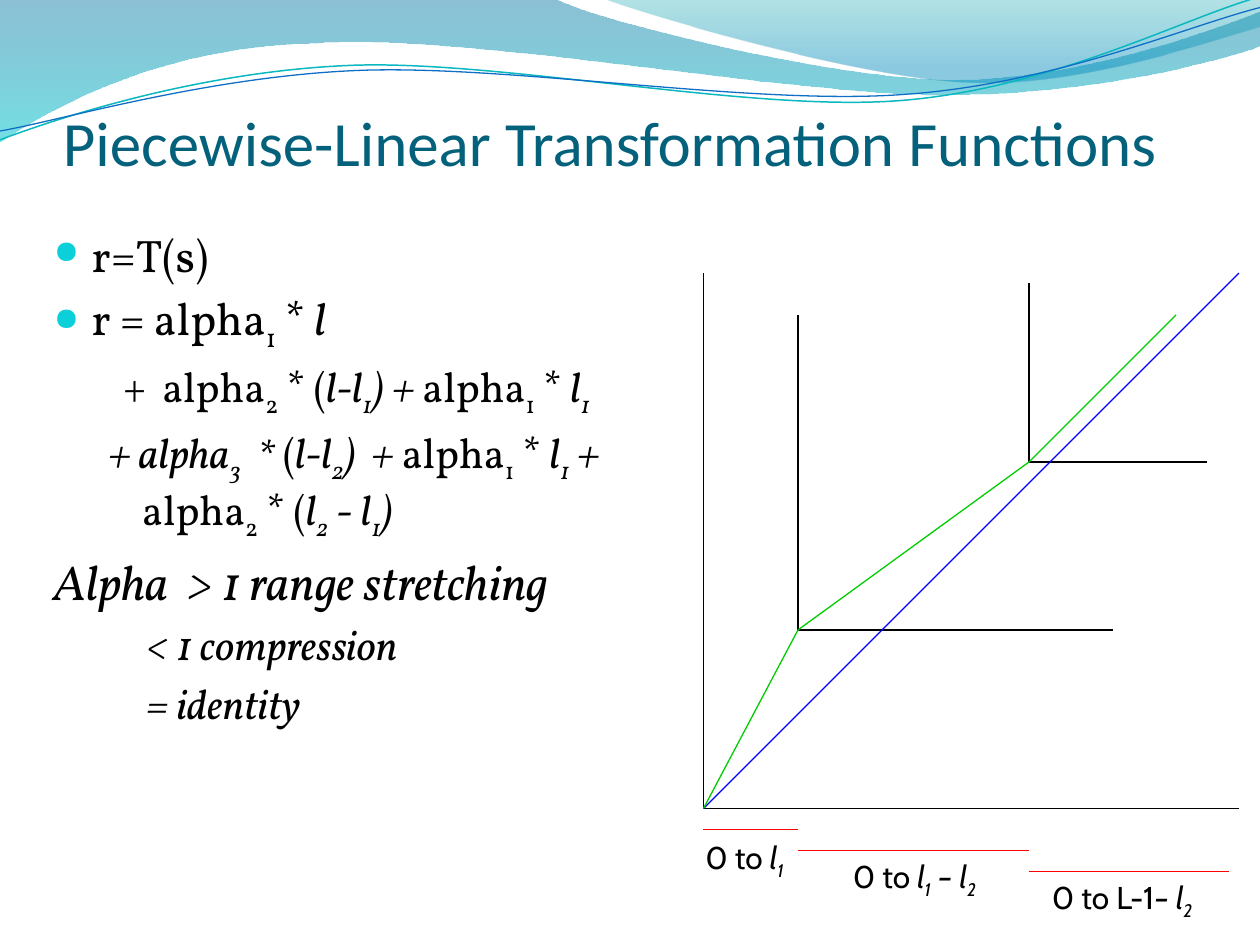
from dataclasses import dataclass

from lxml.etree import SubElement
from pptx import Presentation
from pptx.dml.color import RGBColor
from pptx.enum.shapes import MSO_CONNECTOR
from pptx.enum.text import MSO_ANCHOR
from pptx.oxml.ns import qn
from pptx.util import Inches, Pt


@dataclass(frozen=True)
class Theme:
    black: str = "000000"
    title: str = "04617B"
    bullet: str = "0BD0D9"
    identity: str = "0000FF"
    mapping: str = "00CC00"
    interval: str = "FF0000"
    teal_wave: str = "0AB8BF"
    blue_wave: str = "0F6FC6"
    title_font: str = "Calibri"
    body_font: str = "Vollkorn"
    label_font: str = "Cabin"
    title_size: int = 36
    lead_size: int = 28
    body_size: int = 26
    formula_size: int = 24
    label_size: int = 18
    hairline: float = 0.75


THEME = Theme()

# Each outline is a start point followed by cubic segments (6 numbers) or lines (2 numbers).
BANDS = [
    ([(-0.01, -0.01), (4.4, -0.01), (4.76, 0.17, 6.64, 0.63, 7.58, 0.63),
      (8.53, 0.63, 9.58, 0.26, 10, 0.09), (10.01, 0.36),
      (9.83, 0.44, 8.7, 0.76, 7.46, 0.75), (6.22, 0.75, 3.82, 0.28, 2.57, 0.34),
      (1.29, 0.36, 0.46, 0.83, -0.01, 1.13)],
     [(0, "0074A1", 45), (1, "00C6CF", 55)]),
    ([(4.79, -0.01), (5.09, 0.11, 6.82, 0.62, 7.69, 0.65),
      (8.56, 0.69, 9.61, 0.32, 10, 0.21), (10, -0.01)],
     [(0, "00A1A9", 30), (0.8, "008BBF", 45)]),
]
WAVES = [
    ([(0, 1.11), (0.48, 0.93, 1.58, 0.57, 2.77, 0.52),
      (3.95, 0.47, 5.93, 0.89, 7.13, 0.8), (8.33, 0.71, 9.38, 0.15, 9.98, -0.02)],
     THEME.teal_wave, 0.85),
    ([(0, 1.04), (0.47, 0.96, 1.64, 0.61, 2.83, 0.56),
      (4.03, 0.51, 5.97, 0.84, 7.17, 0.75), (8.36, 0.67, 9.41, 0.21, 10, 0.06)],
     THEME.blue_wave, 0.75),
]

# Slashes switch italics, an underscore lowers the next character, a tilde is a wide space.
# Columns: text, size, left margin, first-line indent, bulleted
FORMULAS = [
    ("r=T(s)", THEME.body_size, 0.3, -0.3, True),
    ("r = alpha_1 * /l", THEME.body_size, 0.3, -0.3, True),
    ("+~alpha_2 * (/l-l_1) + /alpha_1 * /l_1", THEME.formula_size, 0.7, -0.15, False),
    ("/+ alpha_3~* /(/l-l_2)~+ /alpha_1 * /l_1 + /alpha_2 * (/l_2/ - /l_1)",
     THEME.formula_size, 0.7, -0.27, False),
    ("/Alpha~> 1 range stretching", THEME.lead_size, 0.3, -0.3, False),
    ("/< 1 compression", THEME.formula_size, 0.73, 0, False),
    ("/= identity", THEME.formula_size, 0.73, 0, False),
]
INTERVAL_LABELS = [
    ("0 to /l_1", (5.5, 6.6, 1.08, 0.4)),
    ("0 to /l_1 – l_2", (6.67, 6.75, 1.5, 0.4)),
    ("0 to L-1/– l_2", (8.25, 6.92, 1.5, 0.4)),
]


def color(value):
    return RGBColor.from_string(value)


def add_outline(slide, box, outline, closed):
    """Freeform through the segment ends, with the cubic segments bent into curves."""
    left, top = box
    spots = [[Inches(left + x) for x in segment[::2]] for segment in outline]
    heights = [[Inches(top + y) for y in segment[1::2]] for segment in outline]
    ends = [(xs[-1], ys[-1]) for xs, ys in zip(spots, heights)]
    builder = slide.shapes.build_freeform(*ends[0])
    builder.add_line_segments(ends[1:], close=closed)
    shape = builder.convert_to_shape()
    shape.shadow.inherit = False
    straight_parts = list(shape._element.spPr.iter(qn("a:lnTo")))
    for part, xs, ys in zip(straight_parts, spots[1:], heights[1:]):
        if len(xs) == 1:
            continue
        curve = SubElement(part.getparent(), qn("a:cubicBezTo"))
        for x, y in zip(xs, ys):
            SubElement(curve, qn("a:pt"), x=str(x - shape.left), y=str(y - shape.top))
        part.getparent().replace(part, curve)
    return shape


def add_header(slide, box):
    for outline, stops in BANDS:
        band = add_outline(slide, box, outline, True)
        band.line.fill.background()
        band.fill.gradient()
        band.fill.gradient_angle = 270
        for stop, (position, value, _) in zip(band.fill.gradient_stops, stops):
            stop.position = position
            stop.color.rgb = color(value)
        for tint, (_, _, opacity) in zip(band._element.spPr.iter(qn("a:srgbClr")), stops):
            SubElement(tint, qn("a:alpha"), val=str(opacity * 1000))
    for outline, value, width in WAVES:
        wave = add_outline(slide, box, outline, False)
        wave.fill.background()
        wave.line.color.rgb = color(value)
        wave.line.width = Pt(width)


def add_frame(slide, box, **settings):
    frame = slide.shapes.add_textbox(*map(Inches, box)).text_frame
    for name, value in {"word_wrap": True, **settings}.items():
        setattr(frame, name, value)
    return frame


def write_runs(paragraph, text, font_name, size, value=THEME.black):
    def add_run(piece, italic, **attributes):
        if not piece:
            return
        run = paragraph.add_run()
        run.text = piece
        for name, setting in {"name": font_name, "size": Pt(size), "italic": italic}.items():
            setattr(run.font, name, setting)
        run.font.color.rgb = color(value)
        for name, setting in attributes.items():
            run.font._element.set(name, setting)

    def add_words(piece, italic):
        for index, words in enumerate(piece.split("~")):
            if index:
                add_run(" ", italic, spc=str(size * 18))
            add_run(words, italic)

    for index, part in enumerate(text.split("/")):
        italic = index % 2 == 1
        plain, *lowered_parts = part.split("_")
        add_words(plain, italic)
        for lowered in lowered_parts:
            add_run(lowered[0], italic, baseline="-25000")
            add_words(lowered[1:], italic)


def add_title(slide, box):
    frame = add_frame(slide, box, vertical_anchor=MSO_ANCHOR.BOTTOM,
                      margin_left=0, margin_right=0, margin_bottom=0)
    write_runs(frame.paragraphs[0], "Piecewise-Linear Transformation Functions",
               THEME.title_font, THEME.title_size, THEME.title)


def add_formulas(slide, box):
    frame = add_frame(slide, box)
    for index, (text, size, margin, indent, bulleted) in enumerate(FORMULAS):
        paragraph = frame.add_paragraph() if index else frame.paragraphs[0]
        properties = paragraph._p.get_or_add_pPr()
        properties.set("marL", str(Inches(margin)))
        properties.set("indent", str(Inches(indent)))
        if bulleted:
            tint = SubElement(properties, qn("a:buClr"))
            SubElement(tint, qn("a:srgbClr"), val=THEME.bullet)
            SubElement(properties, qn("a:buSzPct"), val="70000")
            SubElement(properties, qn("a:buChar"), char="●")
        paragraph.space_before = Pt(size * 0.2 if index else 0)
        write_runs(paragraph, text, THEME.body_font, size)


def add_line(slide, start, end, value):
    line = slide.shapes.add_connector(MSO_CONNECTOR.STRAIGHT, *map(Inches, (*start, *end)))
    line.line.color.rgb = color(value)
    line.line.width = Pt(THEME.hairline)
    SubElement(line._element.spPr, qn("a:effectLst"))


def add_plot(slide, box):
    """Axes, identity line, stretched mapping and input intervals, on a grid 51 units square."""
    left, top, width, height = box
    units = 51

    def at(x, y):
        return left + x * width / units, top + height - y * height / units

    origin, low, high, tip = (0, 0), (9, 17), (31, 33), (45, 47)
    for (x, y), reach in ((origin, units), (low, 30), (high, 17)):
        add_line(slide, at(x, y), at(x + reach, y), THEME.black)
        add_line(slide, at(x, y), at(x, y + reach), THEME.black)
    add_line(slide, at(*origin), at(units, units), THEME.identity)
    for start, end in zip((origin, low, high), (low, high, tip)):
        add_line(slide, at(*start), at(*end), THEME.mapping)
    limits = (0, low[0], high[0], 50)
    for index, (start, end) in enumerate(zip(limits, limits[1:])):
        drop = -2 * (index + 1)
        add_line(slide, at(start, drop), at(end, drop), THEME.interval)


def add_interval_label(slide, box, text):
    frame = add_frame(slide, box)
    write_runs(frame.paragraphs[0], text, THEME.label_font, THEME.label_size)


def main():
    deck = Presentation()
    deck.slide_width, deck.slide_height = Inches(10), Inches(7.5)
    slide = deck.slides.add_slide(deck.slide_layouts[6])
    add_header(slide, (0, 0))
    add_title(slide, (0.5, 0.78, 9, 0.64))
    add_formulas(slide, (0.33, 1.75, 5, 5.75))
    add_plot(slide, (67 / 12, 26 / 12, 4.25, 4.25))
    for text, box in INTERVAL_LABELS:
        add_interval_label(slide, box, text)
    deck.save("out.pptx")


if __name__ == "__main__":
    main()
